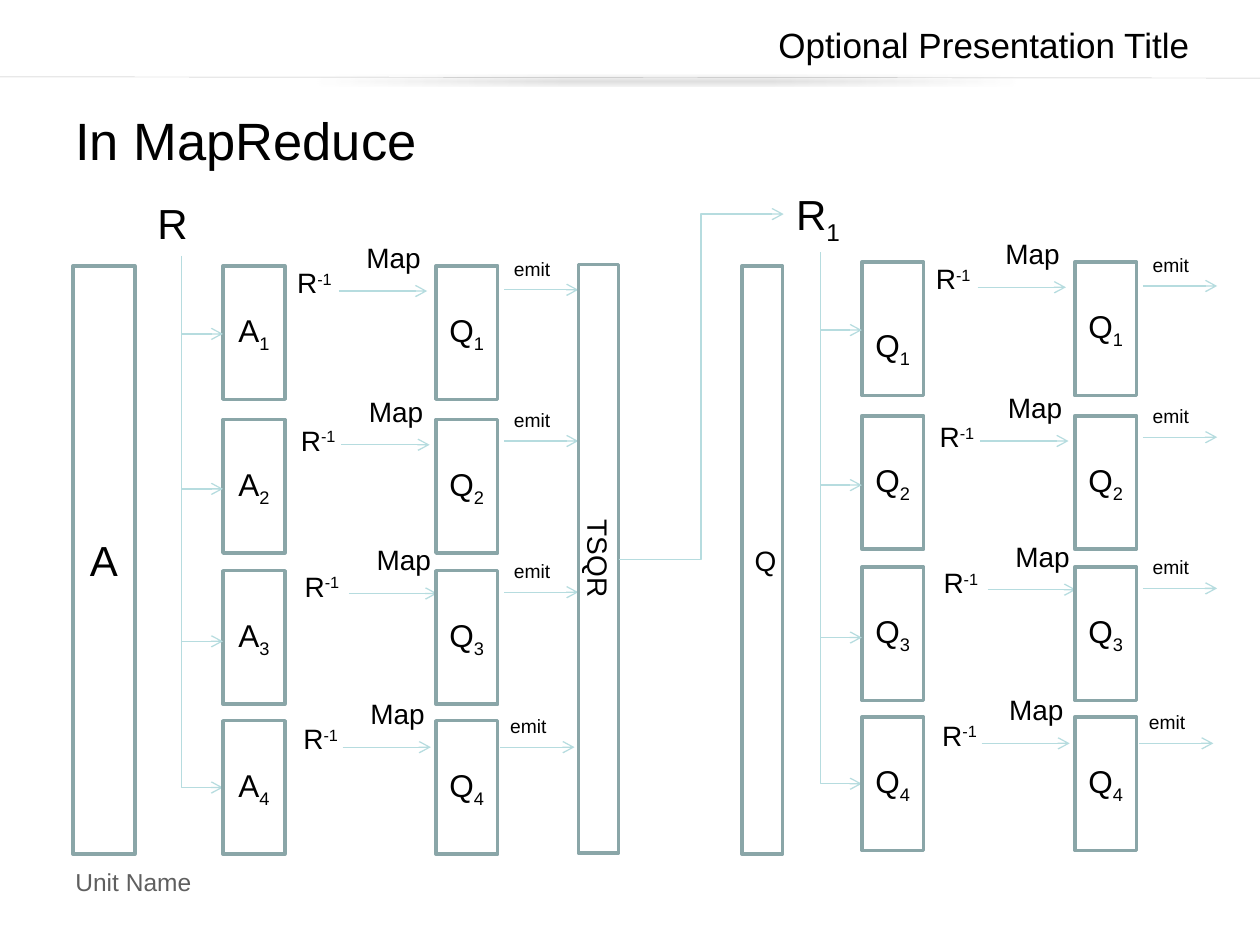
from dataclasses import dataclass

import pptx
import pptx.dml.color
import pptx.enum.dml
import pptx.enum.shapes
import pptx.enum.text
import pptx.oxml
import pptx.oxml.ns
import pptx.util

Inches = pptx.util.Inches
Pt = pptx.util.Pt
RGBColor = pptx.dml.color.RGBColor
Align = pptx.enum.text.PP_ALIGN
Anchor = pptx.enum.text.MSO_ANCHOR
Fit = pptx.enum.text.MSO_AUTO_SIZE
Connector = pptx.enum.shapes.MSO_CONNECTOR

BLACK = RGBColor(0x00, 0x00, 0x00)
GRAY = RGBColor(0x5F, 0x5F, 0x5F)
RULE = RGBColor(0xBF, 0xBF, 0xBF)
BORDER = RGBColor(0x8A, 0xA6, 0xA8)
ARROW = RGBColor(0xB6, 0xDC, 0xDF)
SUBSCRIPT, SUPERSCRIPT = -25, 30
BLOCK_WIDTH, BLOCK_HEIGHT = 0.49, 1.06
COLUMN_WIDTH, COLUMN_HEIGHT = 0.32, 4.67


@dataclass(frozen=True)
class Row:
    number: int
    block_top: float
    branch_y: float
    inverse_left: float
    inverse_top: float
    map_left: float
    map_y: float
    emit_left: float
    emit_y: float


@dataclass(frozen=True)
class Stage:
    source: str
    shift_x: float
    shift_y: float
    first_top_margin: float


ROWS = [
    Row(1, 2.11, 2.65, 2.26, 2.06, 2.69, 2.31, 4.00, 2.30),
    Row(2, 3.33, 3.88, 2.29, 3.31, 2.71, 3.53, 4.00, 3.50),
    Row(3, 4.53, 5.09, 2.32, 4.47, 2.77, 4.71, 4.00, 4.70),
    Row(4, 5.72, 6.25, 2.31, 5.68, 2.72, 5.93, 3.97, 5.93),
]
STAGES = [Stage("A", 0, 0, 0.05), Stage("Q", 5.07, -0.03, 0.35)]

deck = pptx.Presentation()
deck.slide_width, deck.slide_height = Inches(10), Inches(7.5)
page = deck.slides.add_slide(deck.slide_layouts[6])


def apply_format(target: object, values: dict) -> None:
    for name, value in values.items():
        setattr(target, name, value)


def write(shape, text: str, size: float, script: str = "", baseline: int = 0,
          color: RGBColor = BLACK, align=Align.LEFT) -> None:
    para = shape.text_frame.paragraphs[0]
    para.alignment = align
    for part, offset in ((text, 0), (script, baseline)):
        if part:
            span = para.add_run()
            span.text = part
            apply_format(span.font, {"name": "Arial", "size": Pt(size)})
            span.font.color.rgb = color
            if offset:
                span._r.get_or_add_rPr().set("baseline", str(offset * 1000))


def add_label(left: float, top: float, width: float, height: float, text: str,
              size: float, script: str = "", baseline: int = 0,
              color: RGBColor = BLACK, align=Align.LEFT, **frame_format) -> None:
    box = page.shapes.add_textbox(Inches(left), Inches(top), Inches(width), Inches(height))
    apply_format(box.text_frame, {"word_wrap": True, "auto_size": Fit.SHAPE_TO_FIT_TEXT,
                                  **frame_format})
    write(box, text, size, script, baseline, color, align)


def add_block(left: float, top: float, width: float, height: float, text: str,
              size: float, number: str = "", top_margin: float = 0.05):
    block = page.shapes.add_shape(pptx.enum.shapes.MSO_SHAPE.RECTANGLE, Inches(left),
                                  Inches(top), Inches(width), Inches(height))
    block.shadow.inherit = False
    block.fill.background()
    block.line.color.rgb = BORDER
    block.line.width = Pt(2)
    apply_format(block.text_frame, {"word_wrap": True, "vertical_anchor": Anchor.MIDDLE,
                                    "margin_top": Inches(top_margin)})
    write(block, text, size, number, SUBSCRIPT, align=Align.CENTER)
    return block


def add_line(start: tuple, end: tuple, color: RGBColor = ARROW, width: float = 0.75,
             kind=Connector.STRAIGHT, head: bool = True):
    line = page.shapes.add_connector(kind, *(Inches(value) for value in (*start, *end)))
    line.line.color.rgb = color
    line.line.width = Pt(width)
    if head:
        tail = pptx.oxml.parse_xml(
            f'<a:tailEnd {pptx.oxml.ns.nsdecls("a")} type="arrow"/>')
        line.line._get_or_add_ln().append(tail)
    effects = pptx.oxml.parse_xml(f'<a:effectLst {pptx.oxml.ns.nsdecls("a")}/>')
    line._element.spPr.append(effects)
    return line


def add_trunk(left: float, top: float, right: float, bottom: float) -> None:
    center_x, center_y = (left + right) / 2, (top + bottom) / 2
    half_length, half_depth = (bottom - top) / 2, (right - left) / 2
    trunk = add_line((center_x + half_length, center_y - half_depth),
                     (center_x - half_length, center_y + half_depth), kind=Connector.ELBOW)
    properties = trunk._element.spPr
    properties.find(pptx.oxml.ns.qn("a:xfrm")).set("rot", str(270 * 60000))
    properties.find(pptx.oxml.ns.qn("a:prstGeom")).set("prst", "bentConnector2")


def add_header() -> None:
    add_label(0.5, 6.83, 2.5, 0.33, "Unit Name", 14, color=GRAY)
    add_label(6.05, 0.14, 3.49, 0.44, "Optional Presentation Title", 20,
              align=Align.RIGHT, word_wrap=False)
    rule = add_line((0, 0.61), (10, 0.62), RULE, 0.25, head=False)
    shadow = pptx.oxml.parse_xml(
        f'<a:outerShdw {pptx.oxml.ns.nsdecls("a")} blurRad="{Pt(3.1)}" dist="{Pt(1.6)}" '
        'dir="5400000" rotWithShape="0"><a:srgbClr val="000000">'
        '<a:alpha val="38000"/></a:srgbClr></a:outerShdw>')
    rule._element.spPr.find(pptx.oxml.ns.qn("a:effectLst")).append(shadow)
    add_label(0.5, 0.67, 9, 0.88, "In MapReduce", 30,
              auto_size=Fit.NONE, vertical_anchor=Anchor.MIDDLE)


def add_row(stage: Stage, row: Row) -> None:
    x, y = stage.shift_x, stage.shift_y
    top, number = row.block_top + y, str(row.number)
    margin = stage.first_top_margin if row.number == 1 else 0.05
    add_block(1.77 + x, top, BLOCK_WIDTH, BLOCK_HEIGHT, stage.source, 18, number, margin)
    if row is not ROWS[-1]:
        add_line((1.44 + x, row.branch_y + y), (1.77 + x, row.branch_y + y))
    add_label(row.inverse_left + x, row.inverse_top + y, 0.57, 0.37, "R", 16,
              "-1", SUPERSCRIPT)
    map_left, map_y = row.map_left + x, row.map_y + y
    add_line((map_left, map_y), (map_left + 0.7, map_y))
    add_label(map_left + 0.12, map_y - 0.45, 0.72, 0.45, "Map", 16)
    add_block(3.46 + x, top, BLOCK_WIDTH, BLOCK_HEIGHT, "Q", 18, number)
    emit_left, emit_y = row.emit_left + x, row.emit_y + y
    add_line((emit_left, emit_y), (emit_left + 0.59, emit_y))
    add_label(emit_left - 0.02, emit_y - 0.31, 0.6, 0.21, "emit", 11)


add_header()
add_block(0.58, 2.11, BLOCK_WIDTH, COLUMN_HEIGHT, "A", 24)
add_label(1.15, 1.52, 0.57, 0.5, "R", 24)
for stage in STAGES:
    add_trunk(1.44 + stage.shift_x, 2.03 + stage.shift_y,
              1.77 + stage.shift_x, ROWS[-1].branch_y + stage.shift_y)
    for row in ROWS:
        add_row(stage, row)
solver = add_block(4.59, 2.1, COLUMN_WIDTH, COLUMN_HEIGHT, "TSQR", 16)
solver.text_frame._txBody.bodyPr.set("vert", "vert")
add_label(6.22, 1.45, 0.57, 0.5, "R", 24, "1", SUBSCRIPT)
add_line((4.91, 4.44), (6.22, 1.7), kind=Connector.ELBOW)
add_block(5.89, 2.11, COLUMN_WIDTH, COLUMN_HEIGHT, "Q", 16)

deck.save("out.pptx")
